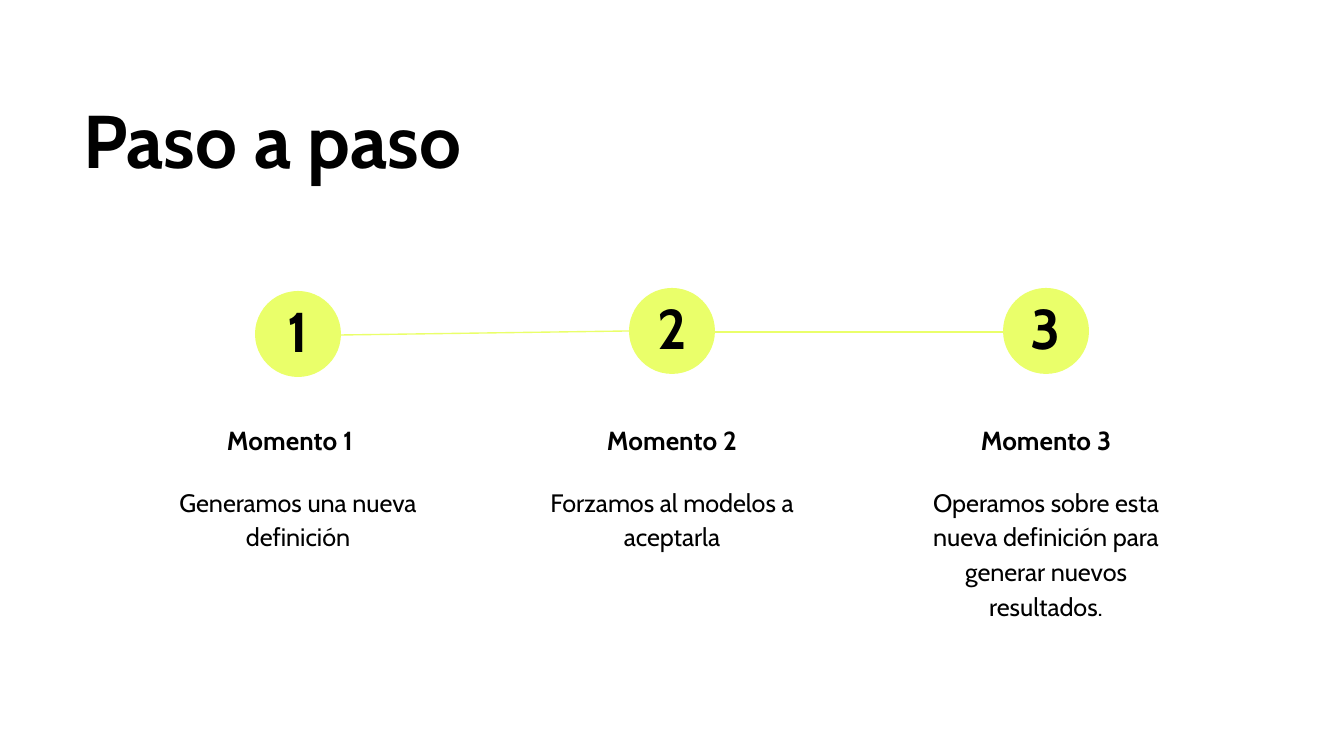
from pptx import Presentation
from pptx.dml.color import RGBColor
from pptx.enum.shapes import MSO_CONNECTOR, MSO_SHAPE
from pptx.enum.text import PP_ALIGN
from pptx.oxml.ns import qn
from pptx.util import Inches, Pt
from lxml.etree import SubElement

# Content
TITLE = "Paso a paso"
STEPS = [
    # number, heading, text, lines of text
    ("1", "Momento 1", "Generamos una nueva definición", 2),
    ("2", "Momento 2", "Forzamos al modelos a aceptarla", 2),
    ("3", "Momento 3",
     "Operamos sobre esta nueva definición para generar nuevos resultados.", 4),
]
FONT, BLACK, LIME = "Cabin", "000000", "EAFF6A"

# Layout in px
SLIDE_W, SLIDE_H = 1344, 756
FIRST_X, PITCH = 298, 374          # circle centres
CIRCLE_D, CIRCLE_Y = 86, 288
COLUMN_W, HEADING_Y, BODY_Y = 288, 406, 469
INSET, LINE_H = 13, 35
CIRCLE_DROP = [3, 0, 0]            # the first step sits slightly lower
HEADING_SHIFT = [-8, 0, 0]
LINE_YS = [(335, 331), (332, 332)]


def px(n):
    return round(n * Inches(10) / SLIDE_W)


def rgb(color):
    return RGBColor.from_string(color)


def add_text(s, text, x, y, w, h, size, bold=False, align=PP_ALIGN.CENTER, spacing=1.15):
    tf = s.shapes.add_textbox(px(x), px(y), px(w), px(h)).text_frame
    tf.word_wrap = True
    tf.margin_left = tf.margin_right = tf.margin_top = tf.margin_bottom = Inches(0.1)
    p = tf.paragraphs[0]
    p.alignment, p.line_spacing = align, spacing
    r = p.add_run()
    r.text = text
    r.font.name, r.font.size, r.font.bold = FONT, Pt(size), bold
    r.font.color.rgb = rgb(BLACK)


def add_circle(s, x, y):
    sp = s.shapes.add_shape(MSO_SHAPE.OVAL, px(x), px(y), px(CIRCLE_D), px(CIRCLE_D))
    sp.shadow.inherit = False
    sp.fill.solid()
    sp.fill.fore_color.rgb = rgb(LIME)
    sp.line.fill.background()


def add_line(s, x1, y1, x2, y2):
    c = s.shapes.add_connector(MSO_CONNECTOR.STRAIGHT, px(x1), px(y1), px(x2), px(y2))
    c.line.color.rgb = rgb(LIME)
    c.line.width = Pt(0.75)
    SubElement(c._element.spPr, qn("a:effectLst"))


prs = Presentation()
prs.slide_width, prs.slide_height = px(SLIDE_W), px(SLIDE_H)
s = prs.slides.add_slide(prs.slide_layouts[6])

# Title
add_text(s, TITLE, 70, 91, 1196, 109, 40, True, PP_ALIGN.LEFT, 0.9)

# Lines between neighbouring circles
for i, (y1, y2) in enumerate(LINE_YS):
    x = FIRST_X + i * PITCH
    add_line(s, x + CIRCLE_D / 2, y1, x + PITCH - CIRCLE_D / 2, y2)

# Steps: numbered circle, heading, text
for i, (number, heading, body, lines) in enumerate(STEPS):
    x = FIRST_X + i * PITCH
    left = x - COLUMN_W / 2
    y = CIRCLE_Y + CIRCLE_DROP[i]
    add_circle(s, x - CIRCLE_D / 2, y)
    add_text(s, number, x - 30, y, 60, 89, 30, True, spacing=0.9)
    add_text(s, heading, left + HEADING_SHIFT[i], HEADING_Y, COLUMN_W, 59, 14, True)
    add_text(s, body, left, BODY_Y, COLUMN_W, 2 * INSET + lines * LINE_H, 13.5)

prs.save("out.pptx")
